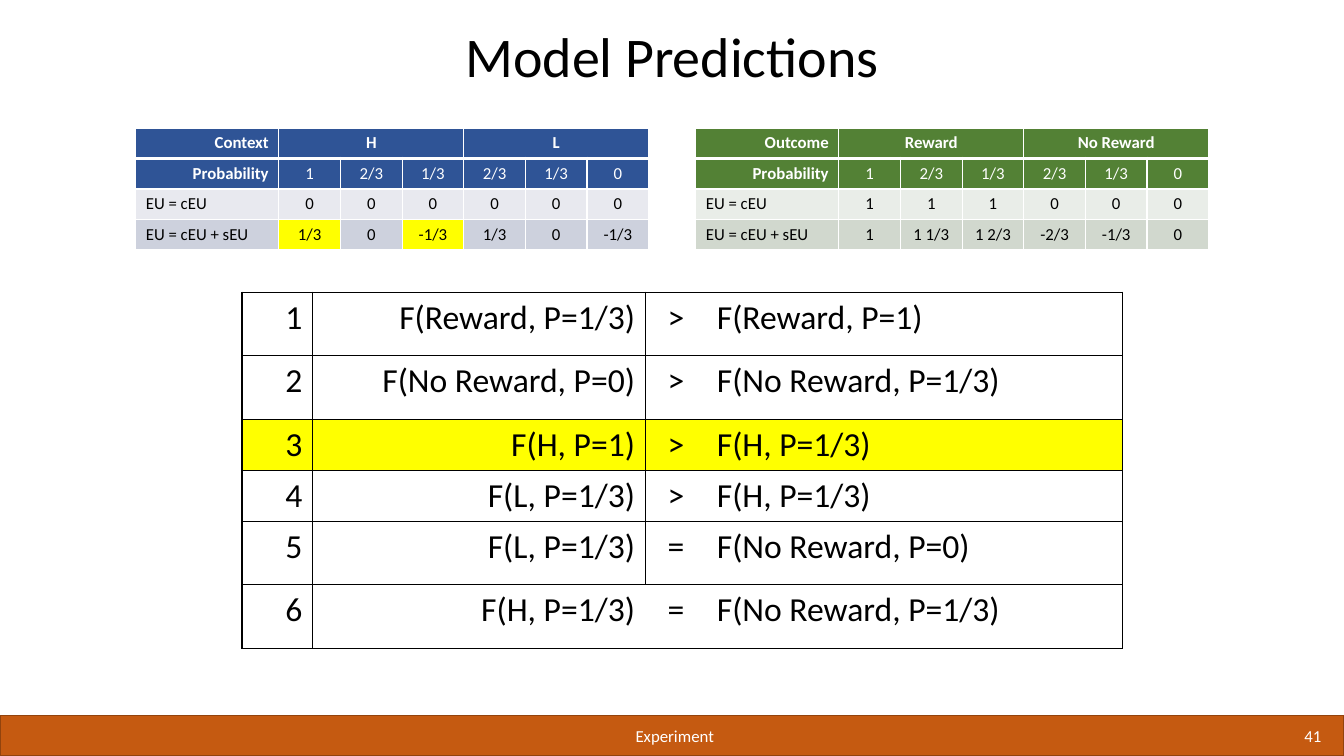
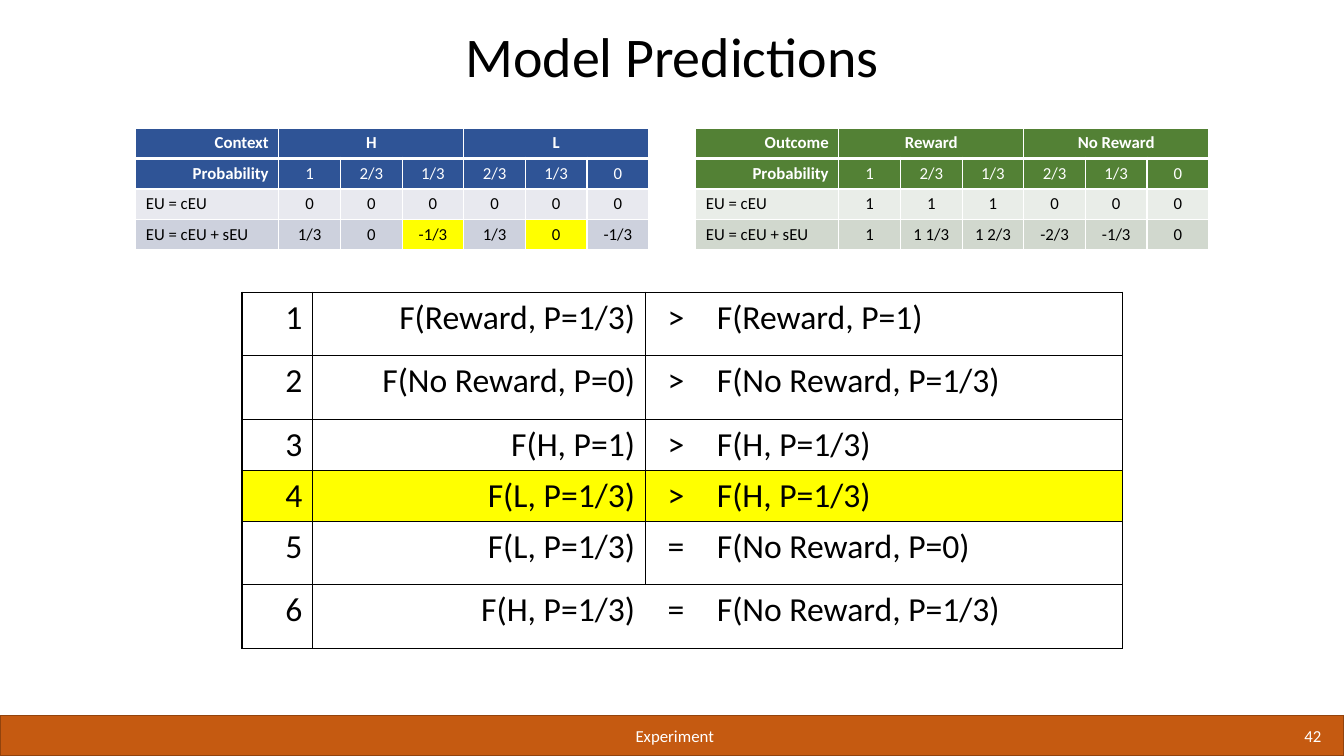
from dataclasses import dataclass
from lxml import etree
from pptx import Presentation
from pptx.dml.color import RGBColor
from pptx.enum.shapes import MSO_SHAPE as SHAPE
from pptx.enum.text import MSO_ANCHOR as ANCHOR, MSO_AUTO_SIZE as AUTO_SIZE, PP_ALIGN as ALIGN
from pptx.oxml.ns import qn
from pptx.util import Pt


@dataclass(frozen=True)
class Theme:
    font: str = "Calibri"
    title_size: int = 40
    prediction_size: int = 24
    small_size: int = 12
    black: str = "000000"
    white: str = "FFFFFF"
    band: str = "C55A11"
    band_line: str = "92430D"
    highlight: str = "FFFF00"
    blue: tuple = ("2F5496", "E8E9EF", "CDD1DD")
    green: tuple = ("538135", "E9EDE8", "D1D8CE")


THEME = Theme()
WIDTH, HEIGHT = 960, 540
BAND_TOP, BAND_HEIGHT = 511.2, 28.8

TITLE = "Model Predictions"
SECTION = "Experiment"
PROBABILITIES = ["Probability", "1", "2/3", "1/3", "2/3", "1/3", "0"]
CONTEXT_ROWS = [
    ["Context", "H", "", "", "L", "", ""],
    PROBABILITIES,
    ["EU = cEU", "0", "0", "0", "0", "0", "0"],
    ["EU = cEU + sEU", "1/3", "0", "-1/3", "1/3", "0", "-1/3"],
]
OUTCOME_ROWS = [
    ["Outcome", "Reward", "", "", "No Reward", "", ""],
    PROBABILITIES,
    ["EU = cEU", "1", "1", "1", "0", "0", "0"],
    ["EU = cEU + sEU", "1", "1 1/3", "1 2/3", "-2/3", "-1/3", "0"],
]
PREDICTIONS = [
    ["1", "F(Reward, P=1/3)", ">", "F(Reward, P=1)"],
    ["2", "F(No Reward, P=0)", ">", "F(No Reward, P=1/3)"],
    ["3", "F(H, P=1)", ">", "F(H, P=1/3)"],
    ["4", "F(L, P=1/3)", ">", "F(H, P=1/3)"],
    ["5", "F(L, P=1/3)", "=", "F(No Reward, P=0)"],
    ["6", "F(H, P=1/3)", "=", "F(No Reward, P=1/3)"],
]
# Page number, marked prediction row, marked columns in the last context row
PAGES = [("41", 2, (1, 3)), ("42", 3, (3, 5))]

UTILITY_COLUMNS = [102.2] + [44.05] * 6
UTILITY_HEIGHTS = [21.8] * 4
UTILITY_TOP, CONTEXT_LEFT, OUTCOME_LEFT = 91.4, 97, 497
PREDICTION_COLUMNS = [50.4, 237.6, 44.1, 297.2]
PREDICTION_HEIGHTS = [45.4, 45.4, 36.4, 36.4, 45.4, 45.4]
PREDICTION_LEFT, PREDICTION_TOP = 172.8, 208.8
PREDICTION_ALIGNS = [ALIGN.RIGHT, ALIGN.RIGHT, ALIGN.CENTER, ALIGN.LEFT]


def rgb(color):
    return RGBColor.from_string(color)


def write(text_frame, text, size, color, align, bold=False):
    text_frame.text = text
    paragraph = text_frame.paragraphs[0]
    paragraph.alignment = align
    for run in paragraph.runs:
        run.font.name = THEME.font
        run.font.size = Pt(size)
        run.font.bold = bold
        run.font.color.rgb = rgb(color)
    return paragraph


def set_borders(cell, color, left=1, right=1, top=1, bottom=1):
    """Set the four edge widths in points; a width of 0 hides the edge."""
    properties = cell._tc.get_or_add_tcPr()
    edges = {"a:lnL": left, "a:lnR": right, "a:lnT": top, "a:lnB": bottom}
    for position, (tag, width) in enumerate(edges.items()):
        line = etree.Element(qn(tag), w=str(Pt(width)))
        if width:
            fill = etree.SubElement(line, qn("a:solidFill"))
            etree.SubElement(fill, qn("a:srgbClr"), val=color)
        else:
            etree.SubElement(line, qn("a:noFill"))
        properties.insert(position, line)


def add_grid(slide, left, top, widths, heights):
    frame = slide.shapes.add_table(len(heights), len(widths), Pt(left), Pt(top),
                                   Pt(sum(widths)), Pt(sum(heights)))
    table = frame.table
    table.first_row = table.horz_banding = False
    for column, width in zip(table.columns, widths):
        column.width = Pt(width)
    for row, height in zip(table.rows, heights):
        row.height = Pt(height)
    return table


def add_utility_table(slide, left, rows, colors, marked=()):
    table = add_grid(slide, left, UTILITY_TOP, UTILITY_COLUMNS, UTILITY_HEIGHTS)
    dark, light, medium = colors
    fills = [dark, dark, light, medium]
    for first in (1, 4):
        table.cell(0, first).merge(table.cell(0, first + 2))
    for r, row in enumerate(rows):
        header = r < 2
        for c, text in enumerate(row):
            cell = table.cell(r, c)
            is_marked = r == len(rows) - 1 and c in marked
            cell.fill.solid()
            cell.fill.fore_color.rgb = rgb(THEME.highlight if is_marked else fills[r])
            set_borders(cell, THEME.white, top=3 if r == 1 else 1, bottom=3 if r == 0 else 1)
            if cell.is_spanned:
                continue
            label_align = ALIGN.RIGHT if header else ALIGN.LEFT
            write(cell.text_frame, text, THEME.small_size,
                  THEME.white if header else THEME.black,
                  ALIGN.CENTER if c else label_align,
                  bold=r == 0 or (r == 1 and c == 0))


def add_prediction_table(slide, marked_row):
    table = add_grid(slide, PREDICTION_LEFT, PREDICTION_TOP,
                     PREDICTION_COLUMNS, PREDICTION_HEIGHTS)
    for r, row in enumerate(PREDICTIONS):
        divider = 0 if r == len(PREDICTIONS) - 1 else 1
        edges = [(1, 1), (1, divider), (divider, 0), (0, 1)]
        for c, text in enumerate(row):
            cell = table.cell(r, c)
            if r == marked_row:
                cell.fill.solid()
                cell.fill.fore_color.rgb = rgb(THEME.highlight)
            else:
                cell.fill.background()
            left, right = edges[c]
            set_borders(cell, THEME.black, left=left, right=right)
            write(cell.text_frame, text, THEME.prediction_size, THEME.black,
                  PREDICTION_ALIGNS[c])


def add_band_to_layout(layout, slide):
    """Draw the footer band and move it to the layout, behind all slide content."""
    band = slide.shapes.add_shape(SHAPE.RECTANGLE, 0, Pt(BAND_TOP), Pt(WIDTH), Pt(BAND_HEIGHT))
    band.shadow.inherit = False
    band.fill.solid()
    band.fill.fore_color.rgb = rgb(THEME.band)
    band.line.color.rgb = rgb(THEME.band_line)
    band.line.width = Pt(1)
    layout.shapes.element.insert(2, band.element)


def add_footer_text(slide, text, left, width, align):
    box = slide.shapes.add_textbox(Pt(left), Pt(BAND_TOP), Pt(width), Pt(BAND_HEIGHT))
    box.text_frame.word_wrap = True
    box.text_frame.vertical_anchor = ANCHOR.MIDDLE
    write(box.text_frame, text, THEME.small_size, THEME.white, align)


def set_title(slide):
    title = slide.shapes.title
    title.left, title.top, title.width, title.height = Pt(47.5), Pt(16.6), Pt(865), Pt(51)
    frame = title.text_frame
    frame.auto_size = AUTO_SIZE.NONE
    frame.vertical_anchor = ANCHOR.BOTTOM
    paragraph = write(frame, TITLE, THEME.title_size, THEME.black, ALIGN.CENTER)
    paragraph.line_spacing = 0.9


def main():
    presentation = Presentation()
    presentation.slide_width, presentation.slide_height = Pt(WIDTH), Pt(HEIGHT)
    layout = presentation.slide_layouts[5]
    for index, (page_number, marked_row, marked_columns) in enumerate(PAGES):
        slide = presentation.slides.add_slide(layout)
        if index == 0:
            add_band_to_layout(layout, slide)
        set_title(slide)
        add_footer_text(slide, SECTION, 161, 642, ALIGN.CENTER)
        add_footer_text(slide, page_number, 803, 148, ALIGN.RIGHT)
        add_prediction_table(slide, marked_row)
        add_utility_table(slide, CONTEXT_LEFT, CONTEXT_ROWS, THEME.blue, marked_columns)
        add_utility_table(slide, OUTCOME_LEFT, OUTCOME_ROWS, THEME.green)
    presentation.save("out.pptx")


if __name__ == "__main__":
    main()
